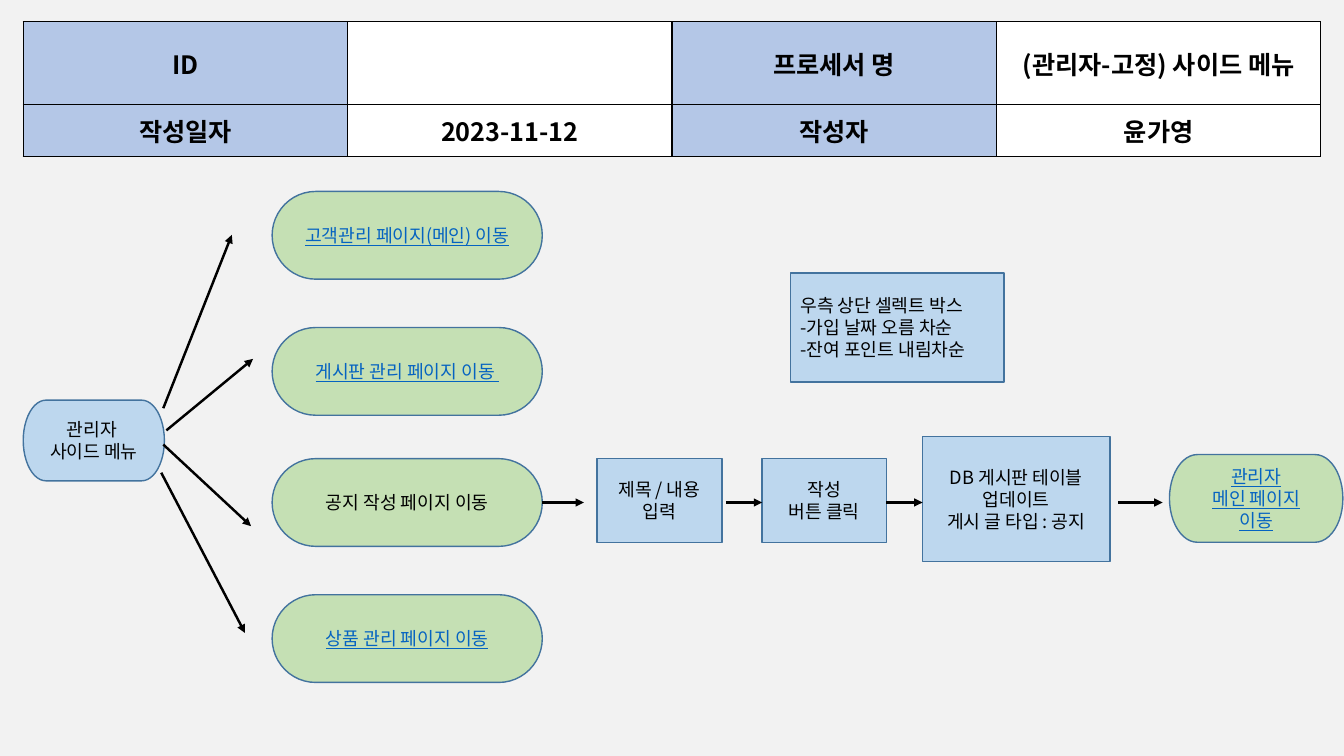
from lxml import etree
from pptx import Presentation
from pptx.dml.color import RGBColor
from pptx.enum.shapes import MSO_CONNECTOR, MSO_SHAPE
from pptx.enum.text import MSO_ANCHOR, PP_ALIGN
from pptx.oxml.ns import qn
from pptx.util import Inches, Pt

STRAIGHT = MSO_CONNECTOR.STRAIGHT
TERMINATOR = MSO_SHAPE.FLOWCHART_TERMINATOR
RECTANGLE = MSO_SHAPE.RECTANGLE
MIDDLE = MSO_ANCHOR.MIDDLE
CENTER = PP_ALIGN.CENTER
JUSTIFY = PP_ALIGN.JUSTIFY

FONT = "Noto Sans CJK KR"
COLORS = {
    "background": "F2F2F2",
    "label": "B4C7E7",
    "value": "FFFFFF",
    "step": "BDD7EE",
    "page": "C5E0B4",
    "outline": "43739E",
    "ink": "000000",
    "link": "0563C1",
}
SLIDE_W, SLIDE_H = Inches(13.33), Inches(7.5)
COLUMN, ROW = SLIDE_W / 100, SLIDE_H / 100
FLOW_ROW = 66.47
PAGE_LEFT, PAGE_WIDTH, PAGE_HEIGHT = 20.25, 20.1, 11.6

HEADER = [
    ["ID", "", "프로세서 명", "(관리자-고정) 사이드 메뉴"],
    ["작성일자", "2023-11-12", "작성자", "윤가영"],
]
PAGES = [
    ("고객관리 페이지(메인) 이동", 25.33, True),
    ("게시판 관리 페이지 이동 ", 43.33, True),
    ("공지 작성 페이지 이동", 60.67, False),
    ("상품 관리 페이지 이동", 78.67, True),
]
STEPS = [
    ("제목 / 내용\n입력", (44.41, 60.67, 9.3, 11.07)),
    ("작성\n버튼 클릭", (56.71, 60.67, 9.23, 11.07)),
    ("DB 게시판 테이블 업데이트\n게시 글 타입 : 공지", (68.64, 57.73, 13.95, 16.53)),
]
MENU_ARROWS = [
    ((12.15, 54), (17.25, 31.07)),
    ((12.38, 56.93), (18.83, 47.47)),
    ((12.15, 58.8), (18.68, 69.6)),
    ((12, 62.53), (18.23, 83.73)),
]
STEP_ARROWS = [(54.01, 56.71), (65.94, 68.64), (83.2, 86.5)]


def color(name):
    return RGBColor.from_string(COLORS[name])


def place(left, top, width, height):
    return (round(left * COLUMN), round(top * ROW),
            round(width * COLUMN), round(height * ROW))


def write(frame, text, size=13, ink="ink", bold=False, underline=False, align=CENTER):
    frame.word_wrap = True
    frame.text = text
    for paragraph in frame.paragraphs:
        paragraph.alignment = align
        for run in paragraph.runs:
            font = run.font
            font.name, font.size = FONT, Pt(size)
            font.bold, font.underline = bold, underline
            font.color.rgb = color(ink)
            east_asian = etree.SubElement(run._r.get_or_add_rPr(), qn("a:ea"))
            east_asian.set("typeface", FONT)


def add_node(slide, kind, box, text, fill, **text_format):
    node = slide.shapes.add_shape(kind, *place(*box))
    node.shadow.inherit = False
    node.fill.solid()
    node.fill.fore_color.rgb = color(fill)
    node.line.color.rgb = color("outline")
    node.line.width = Pt(1)
    node.text_frame.vertical_anchor = MIDDLE
    write(node.text_frame, text, **text_format)
    return node


def add_arrow(slide, start, end):
    arrow = slide.shapes.add_connector(STRAIGHT, *place(*start, *end))
    arrow.line.color.rgb = color("ink")
    arrow.line.width = Pt(1.75)
    etree.SubElement(arrow.line._get_or_add_ln(), qn("a:tailEnd"), type="triangle")
    etree.SubElement(arrow._element.spPr, qn("a:effectLst"))
    return arrow


def add_borders(cell):
    properties = cell._tc.get_or_add_tcPr()
    for position, side in enumerate(("lnL", "lnR", "lnT", "lnB")):
        border = etree.Element(qn(f"a:{side}"), w=str(Pt(1)))
        fill = etree.SubElement(border, qn("a:solidFill"))
        etree.SubElement(fill, qn("a:srgbClr"), val=COLORS["ink"])
        properties.insert(position, border)


def add_header(slide):
    frame = slide.shapes.add_table(2, 4, *place(1.73, 2.87, 96.55, 13.6))
    table = frame.table
    table.first_row = table.horz_banding = False
    for row, texts in enumerate(HEADER):
        for column, text in enumerate(texts):
            cell = table.cell(row, column)
            cell.vertical_anchor = MIDDLE
            cell.fill.solid()
            cell.fill.fore_color.rgb = color("value" if column % 2 else "label")
            add_borders(cell)
            write(cell.text_frame, text, size=18, bold=True)


def main():
    deck = Presentation()
    deck.slide_width, deck.slide_height = SLIDE_W, SLIDE_H
    slide = deck.slides.add_slide(deck.slide_layouts[6])
    slide.background.fill.solid()
    slide.background.fill.fore_color.rgb = color("background")

    add_header(slide)
    add_node(slide, TERMINATOR, (1.73, 52.93, 10.5, 10.67), "관리자 \n사이드 메뉴", "step")
    for start, end in MENU_ARROWS:
        add_arrow(slide, start, end)

    page_nodes = [
        add_node(slide, TERMINATOR, (PAGE_LEFT, top, PAGE_WIDTH, PAGE_HEIGHT), text, "page",
                 ink="link" if linked else "ink", underline=linked)
        for text, top, linked in PAGES
    ]
    add_node(slide, RECTANGLE, (58.81, 36.13, 15.9, 14.4),
             "우측 상단 셀렉트 박스\n-가입 날짜 오름 차순\n-잔여 포인트 내림차순", "step", align=JUSTIFY)

    for text, box in STEPS:
        add_node(slide, RECTANGLE, box, text, "step")
    add_node(slide, TERMINATOR, (87.02, 60.13, 12.9, PAGE_HEIGHT),
             "관리자\n메인 페이지\n이동", "page", ink="link", underline=True)

    notice_arrow = add_arrow(slide, (PAGE_LEFT + PAGE_WIDTH, FLOW_ROW), (43.44, FLOW_ROW))
    notice_arrow.begin_connect(page_nodes[2], 3)
    for left, right in STEP_ARROWS:
        add_arrow(slide, (left, FLOW_ROW), (right, FLOW_ROW))

    deck.save("out.pptx")


if __name__ == "__main__":
    main()
